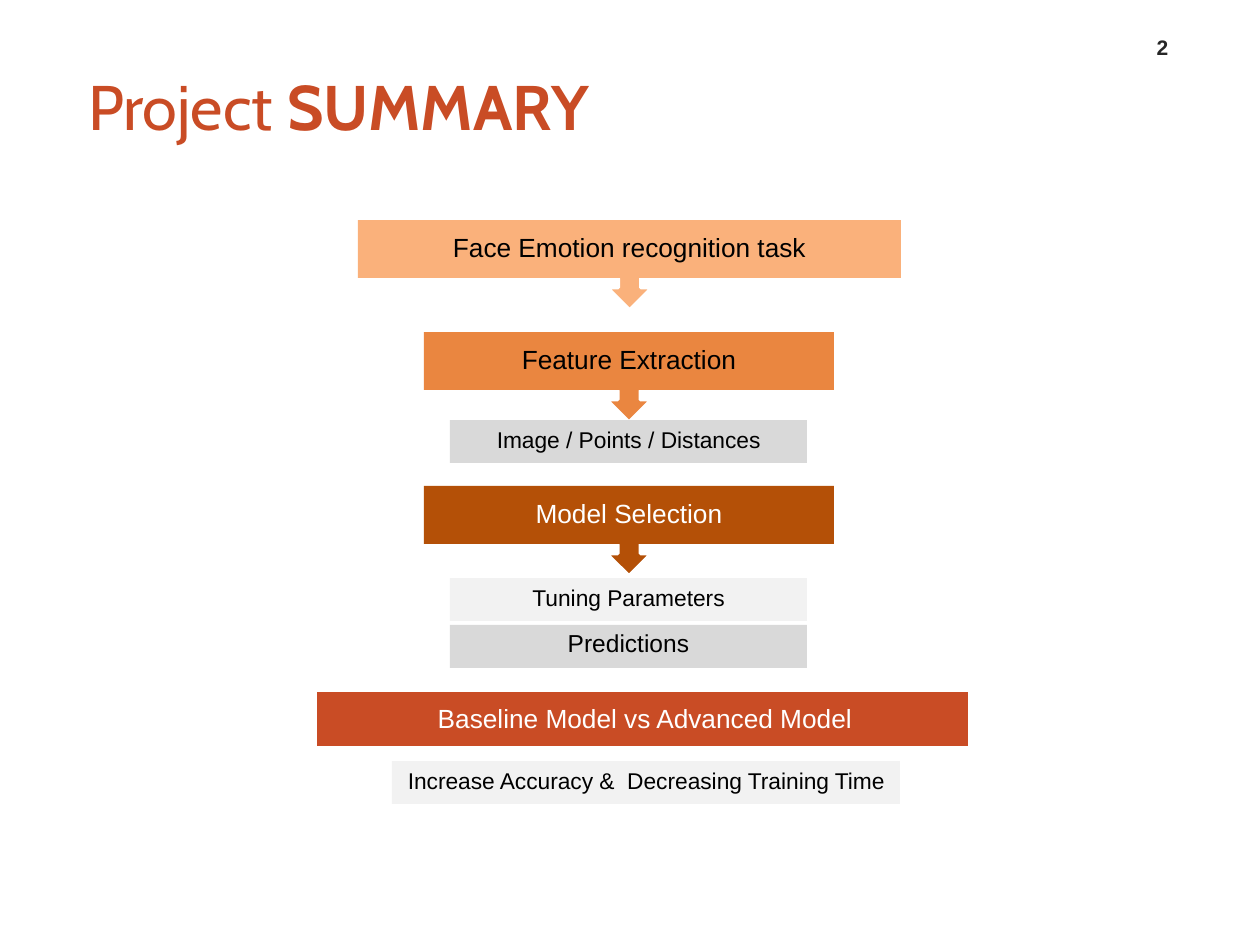
from dataclasses import dataclass

from pptx import Presentation
from pptx.dml.color import RGBColor
from pptx.enum.shapes import MSO_SHAPE
from pptx.enum.text import MSO_ANCHOR, PP_ALIGN
from pptx.util import Pt

RECT, CALLOUT = MSO_SHAPE.RECTANGLE, MSO_SHAPE.UP_ARROW_CALLOUT
TOP, MIDDLE, BOTTOM = MSO_ANCHOR.TOP, MSO_ANCHOR.MIDDLE, MSO_ANCHOR.BOTTOM
LEFT, CENTER = PP_ALIGN.LEFT, PP_ALIGN.CENTER
SCALE = 914400 / 126


@dataclass(frozen=True)
class Theme:
    """Colours, fonts and type sizes of the slide."""
    red: str = "C94C25"
    peach: str = "FAB17B"
    orange: str = "EA8640"
    brown: str = "B45007"
    pale: str = "F2F2F2"
    grey: str = "D9D9D9"
    white: str = "FFFFFF"
    black: str = "000000"
    ink: str = "262626"
    heading: str = "Cabin"
    body: str = "Arial"
    title: int = 36
    stage: int = 15
    result: int = 14
    detail: int = 13
    number: int = 12


T = Theme()


def px(*values):
    """Turn pixel lengths into EMU."""
    return [round(v * SCALE) for v in values]


def write(s, runs, size, color, font=T.body, align=CENTER, anchor=MIDDLE,
          margins=(13, 13, 13, 13), spacing=None):
    """Write one paragraph of (text, bold) runs into a shape."""
    tf = s.text_frame
    tf.word_wrap = True
    tf.vertical_anchor = anchor
    (tf.margin_left, tf.margin_top,
     tf.margin_right, tf.margin_bottom) = px(*margins)
    p = tf.paragraphs[0]
    p.alignment, p.line_spacing = align, spacing
    for text, bold in runs:
        r = p.add_run()
        r.text = text
        r.font.name, r.font.size, r.font.bold = font, Pt(size), bold
        r.font.color.rgb = RGBColor.from_string(color)


def add_block(shapes, box, fill, kind=RECT, outlined=False):
    """Add a filled shape, with a white outline if asked."""
    s = shapes.add_shape(kind, *px(*box))
    s.shadow.inherit = False
    s.fill.solid()
    s.fill.fore_color.rgb = RGBColor.from_string(fill)
    if outlined:
        s.line.color.rgb = RGBColor.from_string(T.white)
        s.line.width = Pt(2)
    else:
        s.line.fill.background()
    return s


def add_header(shapes, box):
    """Place the title at the left and the page number at the right."""
    x, y, w, h = box
    title = shapes.add_textbox(*px(x, y + 26, 672, h - 26))
    write(title, [("Project", False), (" SUMMARY", True)], T.title, T.red,
          T.heading, LEFT, margins=(25, 6, 0, 6))
    number = shapes.add_textbox(*px(x + w - 69, y, 69, 42))
    write(number, [("2", True)], T.number, T.ink, anchor=BOTTOM,
          margins=(13, 6, 13, 6))


def add_stage(shapes, box, text, fill, color):
    """Place a stage bar over a callout that points down."""
    x, y, w, h = box
    arrow = add_block(shapes, box, fill, CALLOUT, True)
    arrow.rotation = 180
    bar = add_block(shapes, (x, y, w, round(h * 0.65)), fill)
    write(bar, [(text, False)], T.stage, color, margins=(15,) * 4, spacing=0.9)


def add_detail(shapes, box, text, fill, size=T.detail, anchor=MIDDLE):
    """Place a grey detail bar."""
    margins = (13, 6, 13, 6) if anchor == TOP else (13,) * 4
    write(add_block(shapes, box, fill), [(text, False)], size, T.black,
          anchor=anchor, margins=margins, spacing=0.9)


def add_outcome(shapes, box, text):
    """Place the outlined closing bar with its inner label."""
    x, y, w, h = box
    add_block(shapes, box, T.red, outlined=True)
    label = add_block(shapes, (x + 15, y + 14, w - 25, h - 27), T.red)
    write(label, [(text, False)], T.stage, T.white, margins=(15,) * 4,
          spacing=0.9)


def add_flow(shapes, box):
    """Place the flow of stages, details and outcome from top to bottom."""
    x, y, w, h = box
    mid = x + w // 2 - 13
    stages = [
        (0, 543, "Face Emotion recognition task", T.peach, T.black),
        (112, 410, "Feature Extraction", T.orange, T.black),
        (266, 410, "Model Selection", T.brown, T.white),
    ]
    details = [
        (200, "Image / Points / Distances", T.grey, T.detail, MIDDLE),
        (358, "Tuning Parameters", T.pale, T.detail, MIDDLE),
        (405, "Predictions", T.grey, T.result, TOP),
    ]
    for top, width, text, fill, color in stages:
        add_stage(shapes, (mid - width // 2, y + top, width, 90),
                  text, fill, color)
    for top, text, fill, size, anchor in details:
        add_detail(shapes, (mid - 179, y + top, 357, 43),
                   text, fill, size, anchor)
    add_outcome(shapes, (x, y + 470, w, 58),
                "Baseline Model vs Advanced Model")
    add_detail(shapes, (x + 77, y + h - 43, 508, 43),
               "Increase Accuracy &  Decreasing Training Time", T.pale)


def main():
    """Build the project summary slide."""
    prs = Presentation()
    prs.slide_width, prs.slide_height = px(1260, 945)
    shapes = prs.slides.add_slide(prs.slide_layouts[6]).shapes
    add_header(shapes, (63, 24, 1134, 136))
    add_flow(shapes, (315, 220, 655, 584))
    prs.save("out.pptx")


if __name__ == "__main__":
    main()
